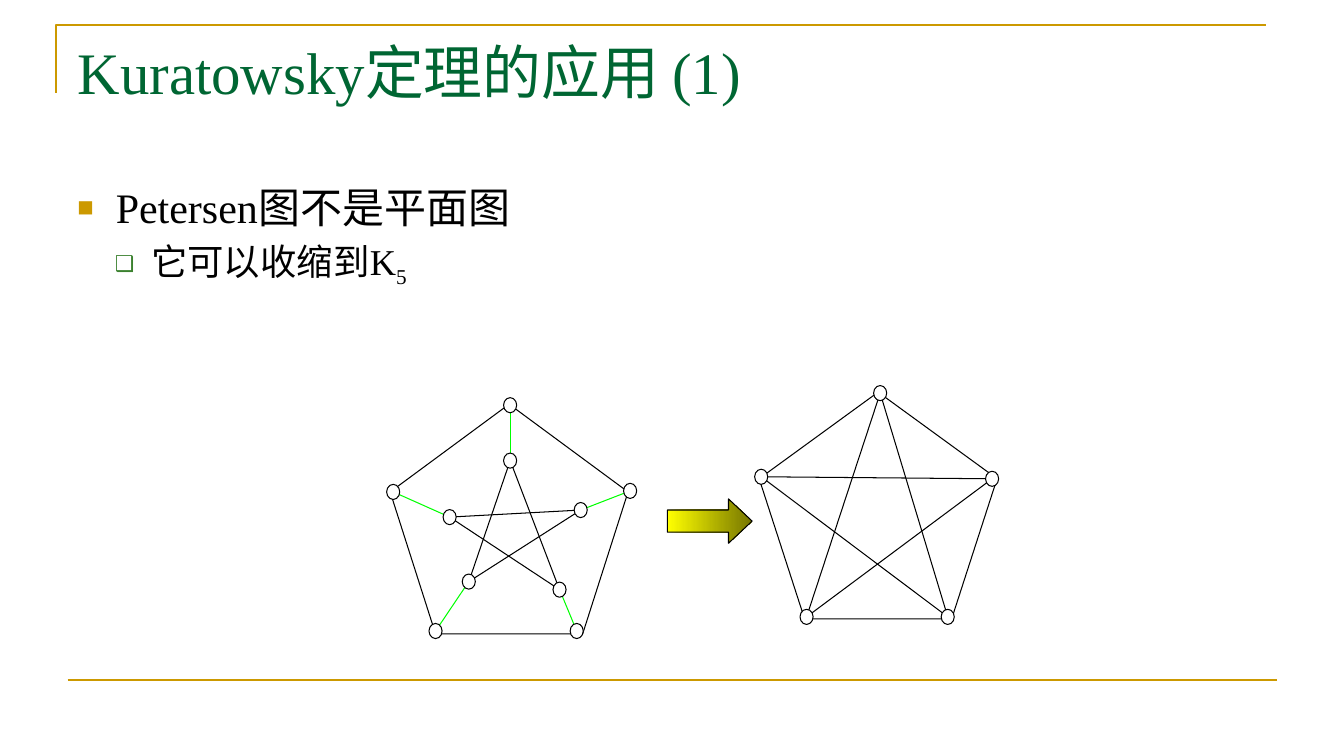
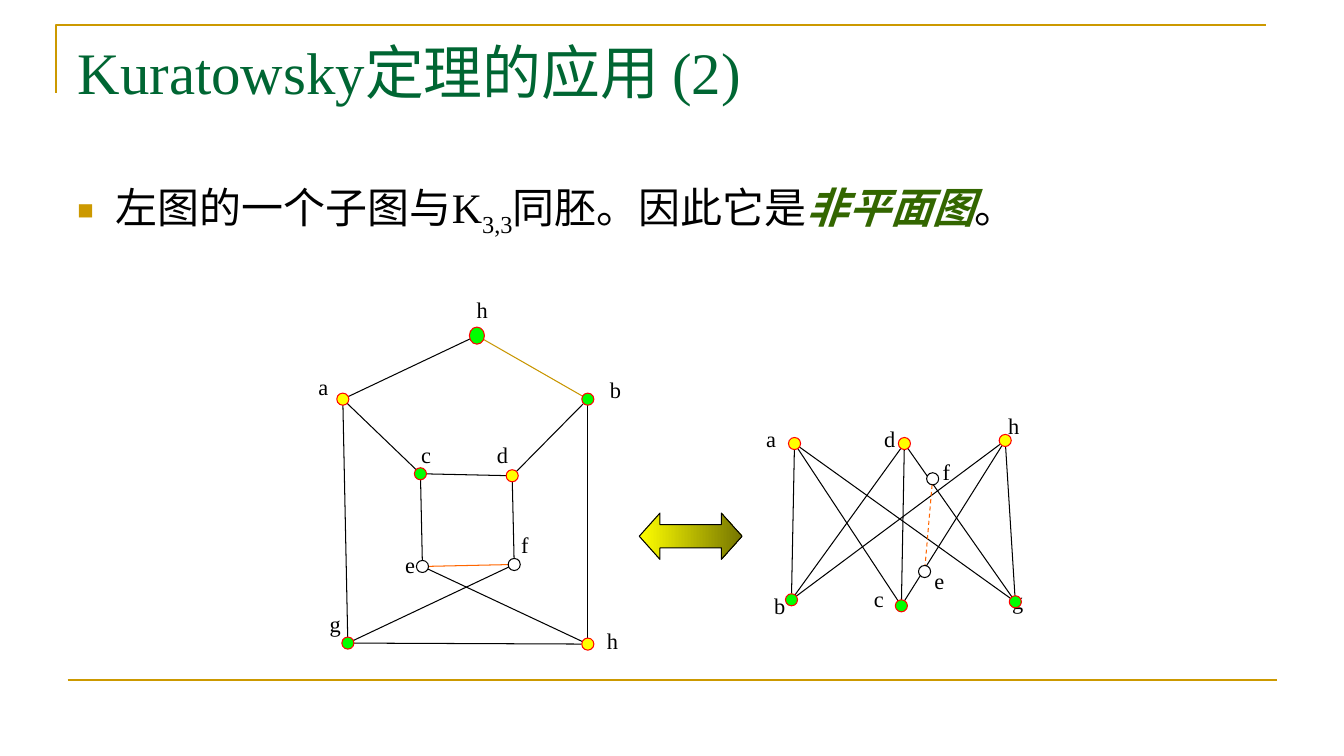
from dataclasses import dataclass
from functools import partial
from itertools import product
from math import hypot

from lxml import etree
from pptx import Presentation
from pptx.dml.color import RGBColor
from pptx.enum import dml, shapes, text
from pptx.oxml import ns
from pptx.util import Inches, Pt


class Theme:
    face, sans = "Times New Roman", "Arial"
    head, body, sub, label = 42, 30, 26, 16
    thin, rule = 0.75, 1.5
    black, white, gold = "000000", "FFFFFF", "CC9900"
    title, strong, tick = "006633", "336600", "3B812F"
    yellow, olive, lime = "FFFF00", "767600", "00FF00"
    red, orange, amber = "FF0000", "FF6600", "C89600"


@dataclass
class Node:
    """A vertex by its centre, with the top left corner of its label box."""
    x: float
    y: float
    fill: str = Theme.white
    label: str = ""
    left: float = 0
    top: float = 0
    w: float = 0.12
    h: float = 0.12


def write(para, words, size=Theme.body, color=Theme.black, face=Theme.face,
          bold=False, italic=False, base=0):
    run = para.add_run()
    run.text = words
    font = run.font
    font.size, font.name, font.bold, font.italic = Pt(size), face, bold, italic
    font.color.rgb = RGBColor.from_string(color)
    if base:
        run._r.get_or_add_rPr().set("baseline", str(base * 1000))


def join(slide, start, end, color=Theme.black, width=Theme.thin, dash=False):
    line = slide.shapes.add_connector(
        shapes.MSO_CONNECTOR.STRAIGHT, *map(Inches, (*start, *end)))
    line.line.color.rgb = RGBColor.from_string(color)
    line.line.width = Pt(width)
    if dash:
        line.line.dash_style = dml.MSO_LINE.DASH
    etree.SubElement(line._element.spPr, ns.qn("a:effectLst"))


T = Theme
ring = partial(Node, w=0.13, h=0.15)
shape = shapes.MSO_SHAPE
star = "ad ae bc be cd".split()

# A graph: nodes by key, then edge groups (pairs of keys, colour, dashed)
petersen = (
    {"A": ring(5.06, 4.02), "B": ring(3.9, 4.88), "C": ring(6.25, 4.87),
     "D": ring(4.32, 6.26), "E": ring(5.72, 6.26),
     "a": ring(5.06, 4.57), "b": ring(4.46, 5.13), "c": ring(5.76, 5.06),
     "d": ring(4.65, 5.77), "e": ring(5.55, 5.85)},
    [(star, T.black, False),
     ([key + key.upper() for key in "abcde"], T.lime, False)])
five = (
    {"a": ring(8.73, 3.9), "b": ring(7.55, 4.73), "c": ring(9.84, 4.75),
     "d": ring(8, 6.12), "e": ring(9.4, 6.12)},
    [(star, T.black, False)])
house = (
    {"a": Node(3.4, 3.96, T.yellow, "a", 3.06, 3.65),
     "b": Node(5.83, 3.96, T.lime, "b", 5.95, 3.68),
     "c": Node(4.17, 4.7, T.lime, "c", 4.08, 4.33),
     "d": Node(5.08, 4.72, T.yellow, "d", 4.83, 4.33),
     "e": Node(4.19, 5.62, T.white, "e", 3.92, 5.42),
     "f": Node(5.1, 5.6, T.white, "f", 5.07, 5.22),
     "g": Node(3.45, 6.38, T.lime, "g", 3.17, 6),
     "k": Node(5.83, 6.39, T.yellow, "h", 5.92, 6.17),
     "h": Node(4.73, 3.33, T.lime, "h", 4.63, 2.89, 0.15, 0.17)},
    [("ah ag ac bd bk cd ce df gk gf ek".split(), T.black, False),
     (["ef"], T.orange, False), (["hb"], T.amber, False)])
utility = (
    {"a": Node(7.88, 4.4, T.yellow, "a", 7.5, 4.17),
     "d": Node(8.97, 4.4, T.yellow, "d", 8.67, 4.17),
     "h": Node(9.97, 4.37, T.yellow, "h", 9.9, 4.04),
     "b": Node(7.85, 5.95, T.lime, "b", 7.58, 5.83),
     "c": Node(8.94, 6.01, T.lime, "c", 8.57, 5.76),
     "g": Node(10.07, 5.97, T.lime, "g", 9.94, 5.78),
     "f": Node(9.25, 4.75, T.white, "f", 9.25, 4.5),
     "e": Node(9.17, 5.67, T.white, "e", 9.17, 5.58)},
    [(list(product("adh", "bcg")), T.black, False),
     (["fe"], T.orange, True)])

# A paragraph: level, then runs of words and format
pages = [
    dict(title="Kuratowsky定理的应用 (1)",
         paras=[(0, [("Petersen", {}), ("图不是平面图", dict(face=T.sans))]),
                (1, [("它可以收缩到K", dict(size=T.sub)),
                     ("5", dict(size=T.sub, base=-25))])],
         rims=[(7.53, 3.89, 2.36, 2.25), (3.87, 4.01, 2.36, 2.28)],
         graphs=[petersen, five],
         arrow=(shape.RIGHT_ARROW, (6.62, 4.95, 0.84, 0.44), 0.533)),
    dict(title="Kuratowsky定理的应用 (2)",
         paras=[(0, [("左图的一个子图与K", {}), ("3,3", dict(base=-25)),
                     ("同胚。因此它是", {}),
                     ("非平面图", dict(color=T.strong, bold=True, italic=True)),
                     ("。", {})])],
         rims=[],
         graphs=[house, utility],
         arrow=(shape.LEFT_RIGHT_ARROW, (6.34, 5.09, 1.02, 0.46), 0.447)),
]
# By level: left margin, indent, mark, mark colour, mark size in percent
bullets = [(0.38, -0.38, "■", T.gold, 65), (0.73, -0.36, "❑", T.tick, 60)]

prs = Presentation()
prs.slide_width, prs.slide_height = Inches(13.33), Inches(7.5)

for page in pages:
    slide = prs.slides.add_slide(prs.slide_layouts[5])

    # Frame
    corner = slide.shapes.build_freeform(Inches(0.56), Inches(0.92), scale=1.0)
    corner.add_line_segments([(Inches(0.56), Inches(0.25)),
                              (Inches(12.56), Inches(0.25))], close=False)
    bracket = corner.convert_to_shape()
    bracket.shadow.inherit = False
    bracket.fill.background()
    bracket.line.color.rgb = RGBColor.from_string(T.gold)
    bracket.line.width = Pt(T.rule)
    join(slide, (0.67, 6.75), (12.67, 6.75), T.gold, T.rule)

    # Title
    title = slide.shapes.title
    title.left, title.top = Inches(0.67), Inches(0.3)
    title.width, title.height = Inches(12), Inches(1.25)
    frame = title.text_frame
    frame.auto_size = text.MSO_AUTO_SIZE.NONE
    frame.vertical_anchor = text.MSO_ANCHOR.TOP
    frame.paragraphs[0].alignment = text.PP_ALIGN.LEFT
    write(frame.paragraphs[0], page["title"], size=T.head, color=T.title)

    # Bulleted text
    body = slide.shapes.add_textbox(*map(Inches, (0.67, 1.75, 12, 4.95)))
    frame = body.text_frame
    frame.word_wrap = True
    for i, (level, runs) in enumerate(page["paras"]):
        para = frame.add_paragraph() if i else frame.paragraphs[0]
        margin, indent, mark, color, size = bullets[level]
        para.level = level
        props = para._p.get_or_add_pPr()
        props.set("marL", str(Inches(margin)))
        props.set("indent", str(Inches(indent)))
        tint = etree.SubElement(props, ns.qn("a:buClr"))
        etree.SubElement(tint, ns.qn("a:srgbClr"), val=color)
        etree.SubElement(props, ns.qn("a:buSzPct"), val=str(size * 1000))
        etree.SubElement(props, ns.qn("a:buFont"), typeface=T.sans)
        etree.SubElement(props, ns.qn("a:buChar"), char=mark)
        if i:
            para.space_before = Pt(5)
        for words, form in runs:
            write(para, words, **form)

    # Outer pentagons
    for box in page["rims"]:
        rim = slide.shapes.add_shape(shape.REGULAR_PENTAGON, *map(Inches, box))
        rim.shadow.inherit = False
        rim.fill.solid()
        rim.fill.fore_color.rgb = RGBColor.from_string(T.white)
        rim.line.color.rgb = RGBColor.from_string(T.black)
        rim.line.width = Pt(T.thin)

    # Graphs: labels, then edges cut at the node rims, then nodes
    for nodes, groups in page["graphs"]:
        for node in nodes.values():
            if node.label:
                box = slide.shapes.add_textbox(
                    *map(Inches, (node.left, node.top, 0.56, 0.69)))
                box.text_frame.word_wrap = True
                para = box.text_frame.paragraphs[0]
                para.alignment = text.PP_ALIGN.JUSTIFY
                write(para, node.label, size=T.label)
        for pairs, color, dash in groups:
            for one, two in pairs:
                p, q = nodes[one], nodes[two]
                dx, dy = q.x - p.x, q.y - p.y
                span = hypot(dx, dy)
                s, t = p.w / 2 / span, q.w / 2 / span
                join(slide, (p.x + s * dx, p.y + s * dy),
                     (q.x - t * dx, q.y - t * dy), color, dash=dash)
        for node in nodes.values():
            dot = slide.shapes.add_shape(shape.OVAL, *map(Inches, (
                node.x - node.w / 2, node.y - node.h / 2, node.w, node.h)))
            dot.shadow.inherit = False
            dot.fill.solid()
            dot.fill.fore_color.rgb = RGBColor.from_string(node.fill)
            edge = T.black if node.fill == T.white else T.red
            dot.line.color.rgb = RGBColor.from_string(edge)
            dot.line.width = Pt(T.thin)

    # Arrow between the graphs
    kind, box, tip = page["arrow"]
    arrow = slide.shapes.add_shape(kind, *map(Inches, box))
    arrow.shadow.inherit = False
    arrow.adjustments[0], arrow.adjustments[1] = 0.5, tip
    arrow.fill.gradient()
    arrow.fill.gradient_angle = 0
    for stop, color in zip(arrow.fill.gradient_stops, (T.yellow, T.olive)):
        stop.color.rgb = RGBColor.from_string(color)
    arrow.line.color.rgb = RGBColor.from_string(T.black)
    arrow.line.width = Pt(T.thin)

prs.save("out.pptx")
